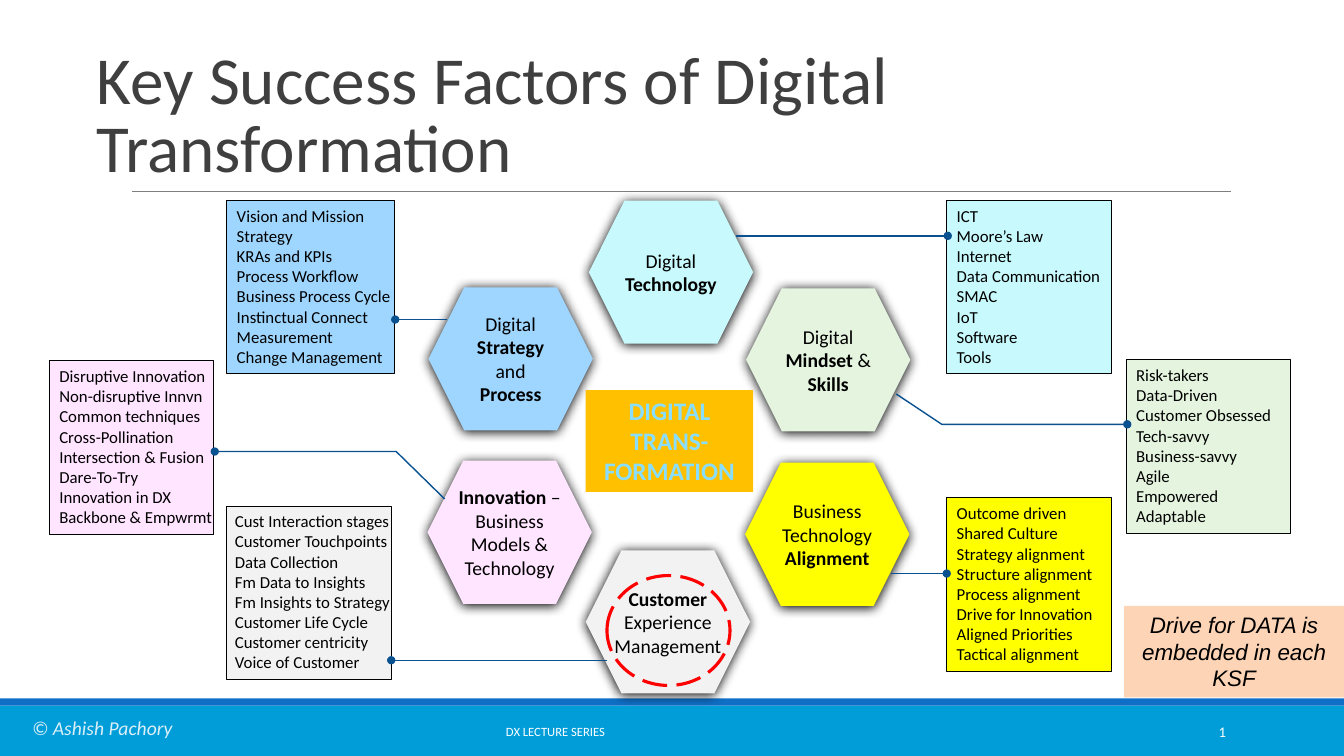
from lxml import etree
from pptx import Presentation
from pptx.dml.color import RGBColor
from pptx.enum.dml import MSO_LINE
from pptx.enum.shapes import MSO_CONNECTOR, MSO_SHAPE
from pptx.enum.text import MSO_ANCHOR, MSO_AUTO_SIZE, PP_ALIGN
from pptx.oxml.ns import qn
from pptx.util import Inches, Pt

RECTANGLE, HEXAGON, OVAL = MSO_SHAPE.RECTANGLE, MSO_SHAPE.HEXAGON, MSO_SHAPE.OVAL
STRAIGHT = MSO_CONNECTOR.STRAIGHT
LONG_DASH = MSO_LINE.LONG_DASH
TOP, MIDDLE, BOTTOM = MSO_ANCHOR.TOP, MSO_ANCHOR.MIDDLE, MSO_ANCHOR.BOTTOM
LEFT, CENTER, RIGHT = PP_ALIGN.LEFT, PP_ALIGN.CENTER, PP_ALIGN.RIGHT
NO_FIT = MSO_AUTO_SIZE.NONE

COLORS = {
    "black": "000000", "white": "FFFFFF", "title": "3F3F3F", "rule": "7F7F7F",
    "footer": "009DD9", "stripe": "0F6FC6", "credit": "DBEFF9",
    "technology": "C8F9FC", "mindset": "E4F4DE", "alignment": "FFFF00",
    "customer": "F2F2F2", "innovation": "FFE5FF", "strategy": "9FD6FF",
    "hub": "FFC000", "hub text": "89DEFE", "data": "FDD4B5",
    "leader": "0A5190", "ring": "FF0000",
}
HEX_SIZE = (1.63, 1.42)
LIST_HEIGHT = 1.72

FACTORS = [
    ("technology", (5.84, 1.99), 0, [[("Digital ", False), ("Technology", True)]]),
    ("mindset", (7.4, 2.86), 0.1,
     [[("Digital ", False), ("Mindset", True), (" & ", False), ("Skills", True)]]),
    ("alignment", (7.39, 4.59), 0.1,
     [[("Business Technology ", False), ("Alignment", True)]]),
    ("customer", (5.81, 5.46), 0,
     [[("Customer", True), (" Experience Management", False)]]),
    ("innovation", (4.24, 4.57), 0,
     [[("Innovation", True), (" –Business Models &", False)], [("Technology", False)]]),
    ("strategy", (4.25, 2.85), 0.1,
     [[("Digital ", False), ("Strategy ", True), ("and ", False), ("Process", True)]]),
]

DETAILS = [
    ("technology", (9.39, 1.99, 1.63), (0.1, 0.1), [(7.3, 2.34), (9.4, 2.34)],
     ["ICT", "Moore’s Law", "Internet", "Data Communication", "SMAC", "IoT",
      "Software", "Tools"]),
    ("mindset", (11.17, 3.57, 1.63), (0.1, 0.1),
     [(8.89, 3.91), (9.34, 4.21), (11.18, 4.21)],
     ["Risk-takers", "Data-Driven", "Customer Obsessed", "Tech-savvy",
      "Business-savvy", "Agile", "Empowered", "Adaptable"]),
    ("alignment", (9.39, 4.94, 1.63), (0.1, 0.1), [(8.84, 5.69), (9.39, 5.69)],
     ["Outcome driven", "Shared Culture", "Strategy alignment",
      "Structure alignment", "Process alignment", "Drive for Innovation",
      "Aligned Priorities", "Tactical alignment"]),
    ("innovation", (0.49, 3.58, 1.63), (0.1, 0),
     [(4.41, 4.95), (3.93, 4.48), (2.13, 4.48)],
     ["Disruptive Innovation", "Non-disruptive Innvn", "Common techniques",
      "Cross-Pollination", "Intersection & Fusion", "Dare-To-Try",
      "Innovation in DX", "Backbone & Empwrmt"]),
    ("strategy", (2.25, 1.99, 1.66), (0.1, 0), [(4.43, 3.17), (3.92, 3.17)],
     ["Vision and Mission", "Strategy", "KRAs and KPIs", "Process Workflow",
      "Business Process Cycle", "Instinctual Connect", "Measurement",
      "Change Management"]),
    ("customer", (2.25, 5.02, 1.63), (0.08, 0), [(6.02, 6.55), (3.88, 6.55)],
     ["Cust Interaction stages", "Customer Touchpoints", "Data Collection",
      "Fm Data to Insights", "Fm Insights to Strategy", "Customer Life Cycle",
      "Customer centricity", "Voice of Customer"]),
]


def rgb(name):
    return RGBColor.from_string(COLORS[name])


def add_block(slide, kind, box, fill=None, line=None, width=0.75):
    block = slide.shapes.add_shape(kind, *map(Inches, box))
    block.shadow.inherit = False
    if fill:
        block.fill.solid()
        block.fill.fore_color.rgb = rgb(fill)
    else:
        block.fill.background()
    if line:
        block.line.color.rgb = rgb(line)
        block.line.width = Pt(width)
    else:
        block.line.fill.background()
    return block


def write(block, paragraphs, size, color="black", align=CENTER, anchor=TOP,
          insets=(0.1, 0.1), face="Calibri", italic=False):
    frame = block.text_frame
    frame.word_wrap = True
    frame.auto_size = NO_FIT
    frame.vertical_anchor = anchor
    frame.margin_left, frame.margin_right = map(Inches, insets)
    frame.margin_top = frame.margin_bottom = Inches(0.05)
    for index, pieces in enumerate(paragraphs):
        paragraph = frame.add_paragraph() if index else frame.paragraphs[0]
        paragraph.alignment = align
        for text, bold in pieces:
            run = paragraph.add_run()
            run.text = text
            run.font.name = face
            run.font.size = Pt(size)
            run.font.bold = bold
            run.font.italic = italic
            run.font.color.rgb = rgb(color)


def add_glow(block):
    effects = block._element.spPr.find(qn("a:effectLst"))
    shadow = etree.SubElement(effects, qn("a:outerShdw"), blurRad=str(Pt(8.5)),
                              dist=str(Pt(1)), dir="5400000",
                              algn="t", rotWithShape="0")
    etree.SubElement(shadow, qn("a:srgbClr"), val=COLORS["black"])


def add_line(slide, start, end, color, width):
    line = slide.shapes.add_connector(STRAIGHT, *map(Inches, start + end))
    line.line.color.rgb = rgb(color)
    line.line.width = Pt(width)
    etree.SubElement(line._element.spPr, qn("a:effectLst"))
    return line


def add_leader(slide, points):
    if len(points) == 2:
        leader = add_line(slide, *points, "leader", 1)
    else:
        route = [tuple(map(Inches, point)) for point in points]
        builder = slide.shapes.build_freeform(*route[0])
        builder.add_line_segments(route[1:], close=False)
        leader = builder.convert_to_shape()
        leader.shadow.inherit = False
        leader.fill.background()
        leader.line.color.rgb = rgb("leader")
        leader.line.width = Pt(1)
    etree.SubElement(leader.line._get_or_add_ln(), qn("a:tailEnd"), type="oval")


def add_title(slide, box):
    title = slide.shapes.title
    title.left, title.top, title.width, title.height = map(Inches, box)
    write(title, [[("Key Success Factors of Digital Transformation", False)]],
          48, "title", LEFT, BOTTOM)
    title.text_frame.paragraphs[0].line_spacing = 0.85
    left, top, width, height = box
    rule_y = top + height
    add_line(slide, (left + 0.45, rule_y), (left + width - 0.67, rule_y), "rule", 0.75)


def add_footer(slide, box):
    left, top, width, height = box
    add_block(slide, RECTANGLE, box, "footer")
    add_block(slide, RECTANGLE, (left, top - 0.07, width, 0.07), "stripe")
    labels = [
        ((0.22, 0.05, 2.1, 0.34), "© Ashish Pachory", 14, "credit", LEFT, TOP, (0.1, 0.1)),
        ((4.03, 0.06, 5.27, 0.4), "DX LECTURE SERIES", 9, "white", CENTER, MIDDLE,
         (0.1, 2.41)),
        ((10.83, 0.06, 1.43, 0.4), "1", 10.5, "white", RIGHT, MIDDLE, (0.1, 0.1)),
    ]
    for (x, y, w, h), text, size, color, align, anchor, insets in labels:
        label = slide.shapes.add_textbox(*map(Inches, (left + x, top + y, w, h)))
        write(label, [[(text, False)]], size, color, align, anchor, insets,
              italic=color == "credit")


def add_factor(slide, box, color, inset, paragraphs):
    factor = add_block(slide, HEXAGON, box, color)
    add_glow(factor)
    write(factor, paragraphs, 14, anchor=MIDDLE, insets=(inset, inset))


def add_detail(slide, box, color, insets, leader, items):
    detail = add_block(slide, RECTANGLE, box, color, "black")
    write(detail, [[(item, False)] for item in items], 12, align=LEFT, insets=insets)
    add_leader(slide, leader)


def add_highlights(slide, hub_box, data_box, ring_box):
    hub = add_block(slide, RECTANGLE, hub_box, "hub")
    write(hub, [[("DIGITAL TRANS-FORMATION", True)]], 18, "hub text")
    data = add_block(slide, RECTANGLE, data_box, "data")
    write(data, [[("Drive for DATA is embedded in each KSF", False)]], 16,
          face="Arial", italic=True)
    ring = add_block(slide, OVAL, ring_box, line="ring", width=2.25)
    ring.line.dash_style = LONG_DASH


def main():
    deck = Presentation()
    deck.slide_width, deck.slide_height = Inches(13.33), Inches(7.5)
    slide = deck.slides.add_slide(deck.slide_layouts[5])
    add_footer(slide, (0, 7, 13.33, 0.5))
    add_title(slide, (0.86, 0.31, 12.02, 1.59))
    for color, corner, inset, paragraphs in FACTORS:
        add_factor(slide, corner + HEX_SIZE, color, inset, paragraphs)
    for color, place, insets, leader, items in DETAILS:
        add_detail(slide, place + (LIST_HEIGHT,), color, insets, leader, items)
    add_highlights(slide, (5.81, 3.87, 1.66, 1.01), (11.15, 6.01, 2.18, 0.91),
                   (6.02, 5.71, 1.22, 1.09))
    deck.save("out.pptx")


if __name__ == "__main__":
    main()
